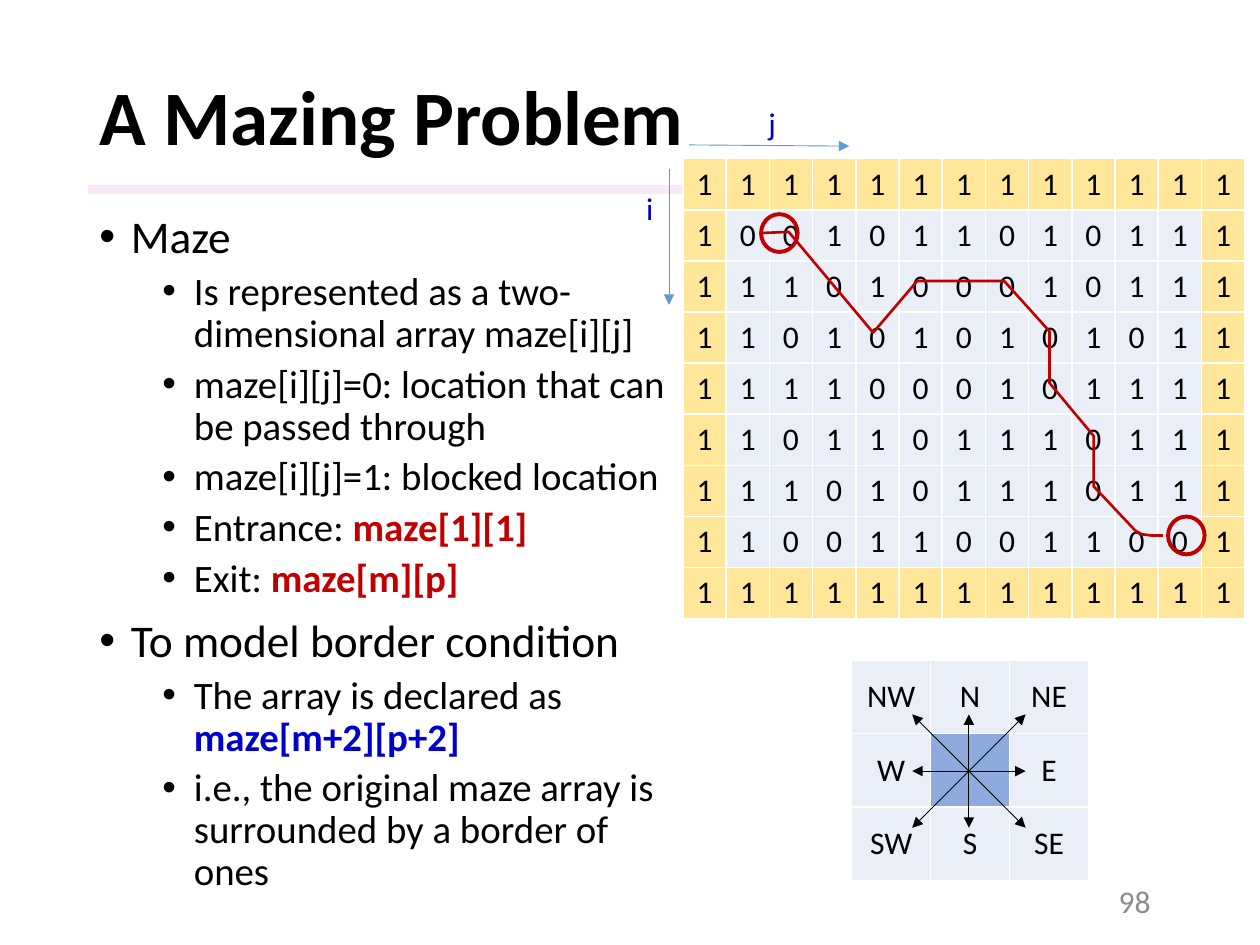
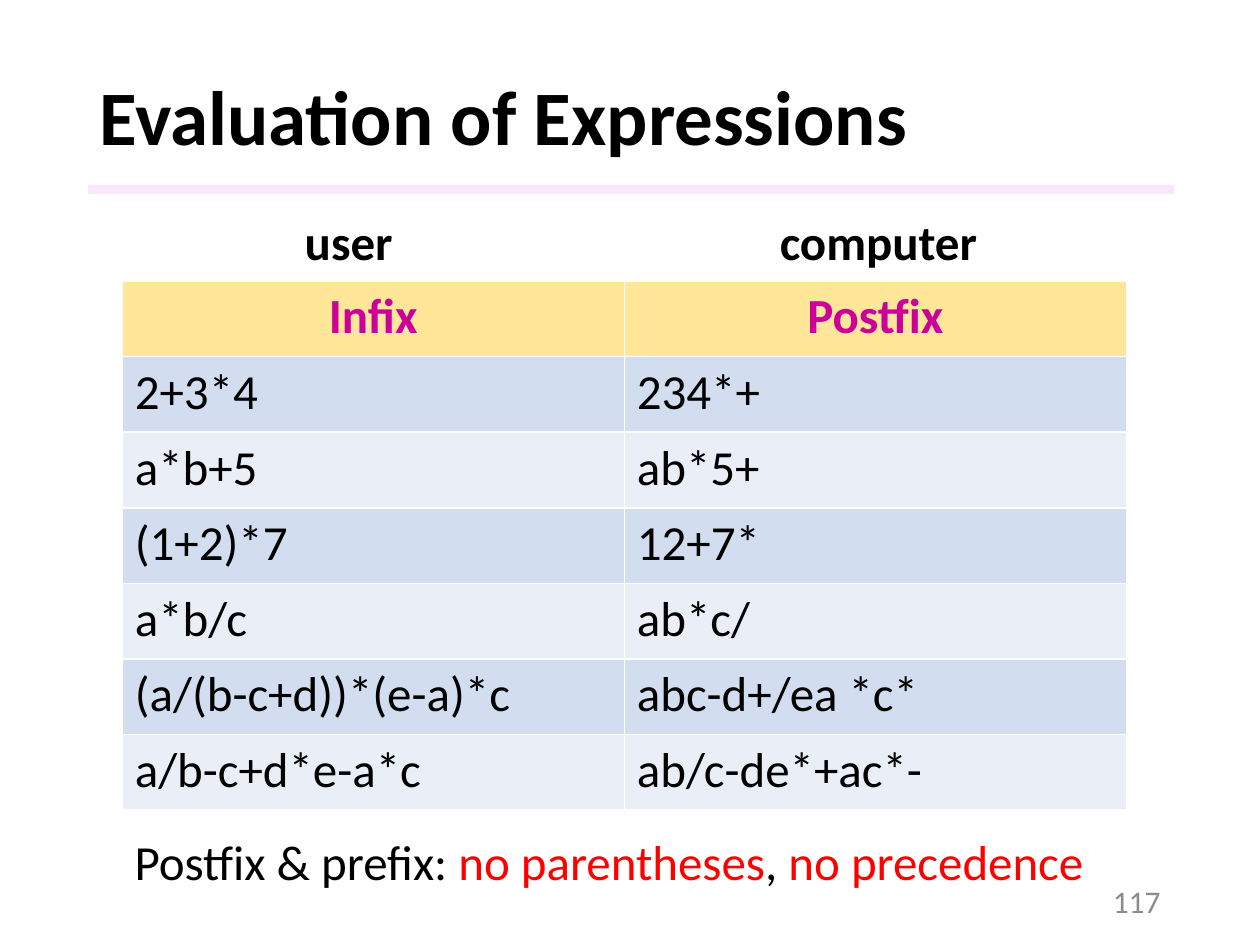
from lxml import etree
from pptx import Presentation
from pptx.dml.color import RGBColor
from pptx.enum import shapes, text
from pptx.oxml import ns
from pptx.util import Inches, Pt

COLORS = {
    "black": "000000", "gray": "8C8C8C", "white": "FFFFFF", "band": "F3D2F4",
    "red": "C00000", "bright_red": "FF0000", "navy": "0000CC", "magenta": "CC0099",
    "arrow": "5B9BD5", "border": "FFE699", "light": "EAEFF7", "medium": "D2DEEF",
    "center": "8FAADC",
}
FONT = "Calibri"
LEFT, CENTER, RIGHT = text.PP_ALIGN.LEFT, text.PP_ALIGN.CENTER, text.PP_ALIGN.RIGHT
MIDDLE = text.MSO_ANCHOR.MIDDLE

MAZE = """
1111111111111
1001011010111
1110100010111
1101010101011
1111000101111
1101101110111
1110101110111
1100110011001
1111111111111
""".split()
MAZE_ROUTE = [(6.03, 1.85), (6.26, 1.84), (6.93, 2.64), (7.28, 2.23), (7.97, 2.23),
              (8.33, 2.63), (8.33, 3.04), (8.68, 3.46), (8.68, 3.86), (9.01, 4.21),
              (9.06, 4.24), (9.14, 4.25), (9.23, 4.25)]
COMPASS = [["NW", "N", "NE"], ["W", "", "E"], ["SW", "S", "SE"]]

# Each bullet is a level and its runs; a run is text, colour, bold.
MAZE_NOTES = [
    (0, [("Maze",)]),
    (1, [("Is represented as a two-dimensional array maze[i][j]",)]),
    (1, [("maze[i][j]=0: location that can be passed through",)]),
    (1, [("maze[i][j]=1: blocked location",)]),
    (1, [("Entrance: ",), ("maze[1][1]", "red", True)]),
    (1, [("Exit: ",), ("maze[m][p]", "red", True)]),
    (0, [("To model border condition",)]),
    (1, [("The array is declared as ",), ("maze[m+2][p+2]", "navy", True)]),
    (1, [("i.e., the original maze array is surrounded by a border of ones",)]),
]
EXPRESSIONS = [
    ("Infix", "Postfix"),
    ("2+3*4", "234*+"),
    ("a*b+5", "ab*5+"),
    ("(1+2)*7", "12+7*"),
    ("a*b/c", "ab*c/"),
    ("(a/(b-c+d))*(e-a)*c", "abc-d+/ea *c*"),
    ("a/b-c+d*e-a*c", "ab/c-de*+ac*-"),
]


def rgb(name):
    return RGBColor.from_string(COLORS[name])


def box(*lengths):
    return [Inches(n) for n in lengths]


class Deck:
    """Holds the presentation, its shared style and the current slide."""

    def __init__(self):
        self.prs = Presentation()
        self.prs.slide_width, self.prs.slide_height = box(10, 7.5)
        self.s = None

    def slide(self, title, number, number_left):
        """Start a slide with its title, band and page number."""
        self.s = self.prs.slides.add_slide(self.prs.slide_layouts[5])
        self.s.background.fill.solid()
        self.s.background.fill.fore_color.rgb = rgb("white")
        sp = self.s.shapes.title
        sp.left, sp.top, sp.width, sp.height = box(0.69, 0.4, 8.62, 1.11)
        tf = sp.text_frame
        tf.vertical_anchor = MIDDLE
        p = tf.paragraphs[0]
        p.line_spacing = 0.9
        self.add_runs(p, [(title, "black", True)], 44)
        self.band()
        self.text([(str(number), "gray")], (number_left, 6.95, 2.25, 0.4), 18,
                  align=RIGHT, wrap=True).vertical_anchor = MIDDLE

    def band(self):
        sp = self.s.shapes.add_shape(shapes.MSO_SHAPE.RECTANGLE, *box(0.7, 1.47, 8.62, 0.07))
        sp.shadow.inherit = False
        sp.line.fill.background()
        sp.fill.solid()
        sp.fill.fore_color.rgb = rgb("band")
        color = sp._element.spPr.find(".//" + ns.qn("a:srgbClr"))
        etree.SubElement(color, ns.qn("a:alpha"), val="50000")

    def add_runs(self, p, runs, size, align=LEFT):
        """Fill a paragraph with runs of (text, colour, bold)."""
        p.alignment = align
        for words, *look in runs:
            color, bold = look + ["black", False][len(look):]
            r = p.add_run()
            r.text = words
            r.font.name, r.font.size, r.font.bold = FONT, Pt(size), bold
            r.font.color.rgb = rgb(color)

    def text(self, runs, at, size, align=LEFT, wrap=False, parent=None):
        tf = (parent or self.s).shapes.add_textbox(*box(*at)).text_frame
        tf.word_wrap = wrap
        self.add_runs(tf.paragraphs[0], runs, size, align)
        return tf

    def bullets(self, items, at):
        tf = self.s.shapes.add_textbox(*box(*at)).text_frame
        tf.word_wrap = True
        for n, (level, runs) in enumerate(items):
            p = tf.add_paragraph() if n else tf.paragraphs[0]
            p.level = level
            p.line_spacing = 0.9
            p.space_before = Pt((10, 5)[level])
            self.add_runs(p, runs, (25.9, 22.2)[level])
            pPr = p._p.get_or_add_pPr()
            pPr.set("marL", str(Inches((0.25, 0.75)[level])))
            pPr.set("indent", str(Inches(-0.25)))
            etree.SubElement(pPr, ns.qn("a:buFont"), typeface="Arial")
            etree.SubElement(pPr, ns.qn("a:buChar"), char="•")

    def table(self, rows, at, look, size, header=False, anchor=None):
        """Add a table; look(row, column) gives fill, text colour, bold, alignment."""
        frame = self.s.shapes.add_table(len(rows), len(rows[0]), *box(*at))
        table = frame.table
        table.first_row, table.horz_banding = header, False
        for i, row in enumerate(rows):
            for j, words in enumerate(row):
                fill, color, bold, align = look(i, j)
                cell = table.cell(i, j)
                cell.fill.solid()
                cell.fill.fore_color.rgb = rgb(fill)
                cell.vertical_anchor = anchor
                if words:
                    self.add_runs(cell.text_frame.paragraphs[0], [(words, color, bold)],
                                  size, align)

    def arrow(self, start, end, color, both=False, parent=None):
        line = (parent or self.s).shapes.add_connector(
            shapes.MSO_CONNECTOR.STRAIGHT, *box(*start, *end))
        line.line.color.rgb = rgb(color)
        line.line.width = Pt(0.5)
        ln = line.line._get_or_add_ln()
        for end_tag in ["a:headEnd"] * both + ["a:tailEnd"]:
            etree.SubElement(ln, ns.qn(end_tag), type="triangle")
        etree.SubElement(line._element.spPr, ns.qn("a:effectLst"))

    def axis(self, name, start, end, label_at):
        """Group an index arrow with its label."""
        group = self.s.shapes.add_group_shape()
        self.arrow(start, end, "arrow", parent=group)
        self.text([(name, "navy")], (*label_at, 0.26, 0.4), 18, parent=group)

    def outline(self, sp, width):
        sp.shadow.inherit = False
        sp.fill.background()
        sp.line.color.rgb = rgb("red")
        sp.line.width = Pt(width)

    def ring(self, left, top):
        self.outline(self.s.shapes.add_shape(
            shapes.MSO_SHAPE.OVAL, *box(left, top, 0.29, 0.3)), 2.25)

    def route(self, points):
        first, *rest = [box(*point) for point in points]
        builder = self.s.shapes.build_freeform(*first)
        builder.add_line_segments(rest, close=False)
        self.outline(builder.convert_to_shape(), 1.5)


def maze_look(i, j):
    on_border = i in (0, len(MAZE) - 1) or j in (0, len(MAZE[0]) - 1)
    return "border" if on_border else "light", "black", False, CENTER


def compass_look(i, j):
    return "center" if i == j == 1 else "light", "black", False, CENTER


def expression_look(i, j):
    if i == 0:
        return "border", "magenta", True, CENTER
    return "medium" if i % 2 else "light", "black", False, LEFT


def maze_slide(deck):
    deck.slide("A Mazing Problem", 98, 6.98)
    deck.bullets(MAZE_NOTES, (0.69, 1.65, 4.85, 5.58))
    deck.table(MAZE, (5.42, 1.26, 4.46, 3.65), maze_look, 18)
    deck.ring(6.04, 1.7)
    deck.ring(9.27, 4.1)
    deck.route(MAZE_ROUTE)

    deck.table(COMPASS, (6.76, 5.24, 1.88, 1.75), compass_look, 18, anchor=MIDDLE)
    x, y, reach = 7.69, 6.12, 0.45
    for dx, dy in [(0, -reach), (reach, 0), (reach, -reach), (reach, reach)]:
        deck.arrow((x - dx, y - dy), (x + dx, y + dy), "black", both=True)

    deck.axis("j", (5.47, 1.15), (6.74, 1.16), (6, 0.78))
    deck.axis("i", (5.31, 1.34), (5.31, 2.42), (5.03, 1.45))


def expressions_slide(deck):
    deck.slide("Evaluation of Expressions", 117, 7.06)
    deck.table(EXPRESSIONS, (0.97, 2.23, 7.97, 4.2), expression_look, 28, header=True)
    for name, left, width in [("user", 2.32, 0.91), ("computer", 6.09, 1.79)]:
        deck.text([(name, "black", True)], (left, 1.63, width, 0.57), 28)
    deck.text([("Postfix & prefix: ",), ("no parentheses", "bright_red"), (", ",),
               ("no precedence", "bright_red")], (0.97, 6.55, 7.83, 0.57), 28)


def main():
    deck = Deck()
    maze_slide(deck)
    expressions_slide(deck)
    deck.prs.save("out.pptx")


if __name__ == "__main__":
    main()
